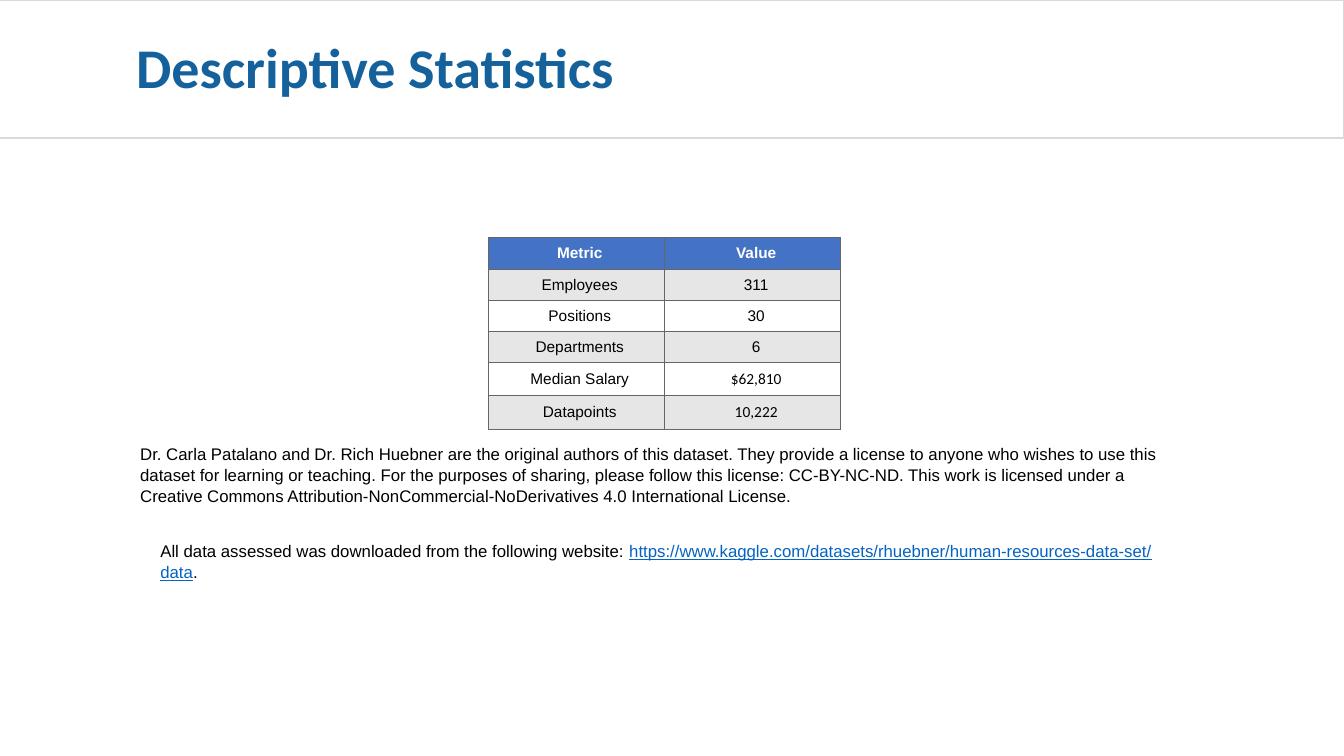
from lxml import etree
from pptx import Presentation, util as u
from pptx.dml.color import RGBColor
from pptx.enum import shapes, text
from pptx.oxml.ns import qn

TITLE = "Descriptive Statistics"
METRICS = [
    ("Metric", "Value"),
    ("Employees", "311"),
    ("Positions", "30"),
    ("Departments", "6"),
    ("Median Salary", "$62,810"),
    ("Datapoints", "10,222"),
]
CALIBRI_VALUES = {"$62,810", "10,222"}
LICENSE = (
    "Dr. Carla Patalano and Dr. Rich Huebner are the original authors of this dataset. "
    "They provide a license to anyone who wishes to use this dataset for learning or teaching. "
    "For the purposes of sharing, please follow this license: CC-BY-NC-ND. "
    "This work is licensed under a Creative Commons "
    "Attribution-NonCommercial-NoDerivatives 4.0 International License."
)
SOURCE_INTRO = "All data assessed was downloaded from the following website: "
SOURCE_ADDRESS = "https://www.kaggle.com/datasets/rhuebner/human-resources-data-set/data"
COLORS = {
    "title": "15619C", "banner": "D9D9D9", "header": "4472C4", "band": "E6E6E6",
    "white": "FFFFFF", "text": "000000", "border": "666666", "link": "0563C1",
}
COLUMN_WIDTH, ROW_HEIGHT = 1.75, 0.25


def color(name):
    return RGBColor.from_string(COLORS[name])


def set_font(font, name, size, shade, bold=False):
    font.name, font.size, font.bold = name, u.Pt(size), bold
    font.color.rgb = color(shade)


def place(shape, *bounds):
    shape.left, shape.top, shape.width, shape.height = map(u.Inches, bounds)


def prepare_frame(frame, anchor):
    frame.word_wrap = True
    frame.auto_size = text.MSO_AUTO_SIZE.NONE
    frame.vertical_anchor = anchor
    frame.margin_left = frame.margin_right = u.Inches(0.07)
    frame.margin_top = frame.margin_bottom = u.Inches(0.04)


def indent(para, left):
    properties = para._p.get_or_add_pPr()
    properties.set("marL", str(u.Inches(left)))
    properties.set("indent", "0")
    return properties


def add_borders(cell):
    properties = cell._tc.get_or_add_tcPr()
    for position, side in enumerate(("lnL", "lnR", "lnT", "lnB")):
        line = etree.Element(qn("a:" + side), w=str(u.Pt(0.75)))
        fill = etree.SubElement(line, qn("a:solidFill"))
        etree.SubElement(fill, qn("a:srgbClr"), val=COLORS["border"])
        properties.insert(position, line)


def add_title(page):
    title = page.shapes.title
    place(title, 1.28, 0.24, 10.63, 0.84)
    prepare_frame(title.text_frame, text.MSO_ANCHOR.MIDDLE)
    title.text_frame.text = TITLE
    para = title.text_frame.paragraphs[0]
    para.alignment = text.PP_ALIGN.LEFT
    set_font(para.font, "Calibri", 40, "title", True)

    banner = page.shapes.add_shape(
        shapes.MSO_SHAPE.RECTANGLE, 0, u.Inches(0.01), u.Inches(13.33), u.Inches(1.36))
    banner.shadow.inherit = False
    banner.fill.background()
    banner.line.color.rgb = color("banner")
    banner.line.width = u.Pt(0.75)
    title._element.addprevious(banner._element)


def add_metrics(page):
    holder = page.shapes.add_table(
        len(METRICS), 2, u.Inches(4.84), u.Inches(2.36),
        u.Inches(2 * COLUMN_WIDTH), u.Inches(len(METRICS) * ROW_HEIGHT))
    for row, values in enumerate(METRICS):
        shade = "header" if row == 0 else "band" if row % 2 else "white"
        for column, value in enumerate(values):
            cell = holder.table.cell(row, column)
            cell.fill.solid()
            cell.fill.fore_color.rgb = color(shade)
            add_borders(cell)
            cell.vertical_anchor = text.MSO_ANCHOR.MIDDLE
            cell.margin_left = cell.margin_right = 0
            cell.margin_top = cell.margin_bottom = u.Inches(0.07)
            cell.text = value
            para = cell.text_frame.paragraphs[0]
            para.alignment = text.PP_ALIGN.CENTER
            indent(para, 0.07)
            set_font(para.font, "Calibri" if value in CALIBRI_VALUES else "Arial", 11,
                     "white" if row == 0 else "text", row == 0)


def add_notes(page):
    body = page.placeholders[1]
    place(body, 1.32, 4.35, 10.54, 2.34)
    frame = body.text_frame
    prepare_frame(frame, text.MSO_ANCHOR.TOP)
    paras = frame.paragraphs[0], frame.add_paragraph()
    for para, left, gap in zip(paras, (0, 0.2), (0, 25)):
        etree.SubElement(indent(para, left), qn("a:buNone"))
        para.space_before = u.Pt(gap)
        para.line_spacing = 1.04
        set_font(para.font, "Arial", 12, "text")
    license_para, source_para = paras
    license_para.add_run().text = LICENSE
    for words in (SOURCE_INTRO, SOURCE_ADDRESS, "."):
        span = source_para.add_run()
        span.text = words
        if words == SOURCE_ADDRESS:
            span.font.underline = True
            span.font.color.rgb = color("link")


def main():
    deck = Presentation()
    deck.slide_width, deck.slide_height = u.Inches(13.33), u.Inches(7.5)
    page = deck.slides.add_slide(deck.slide_layouts[1])
    add_title(page)
    add_metrics(page)
    add_notes(page)
    deck.save("out.pptx")


if __name__ == "__main__":
    main()
